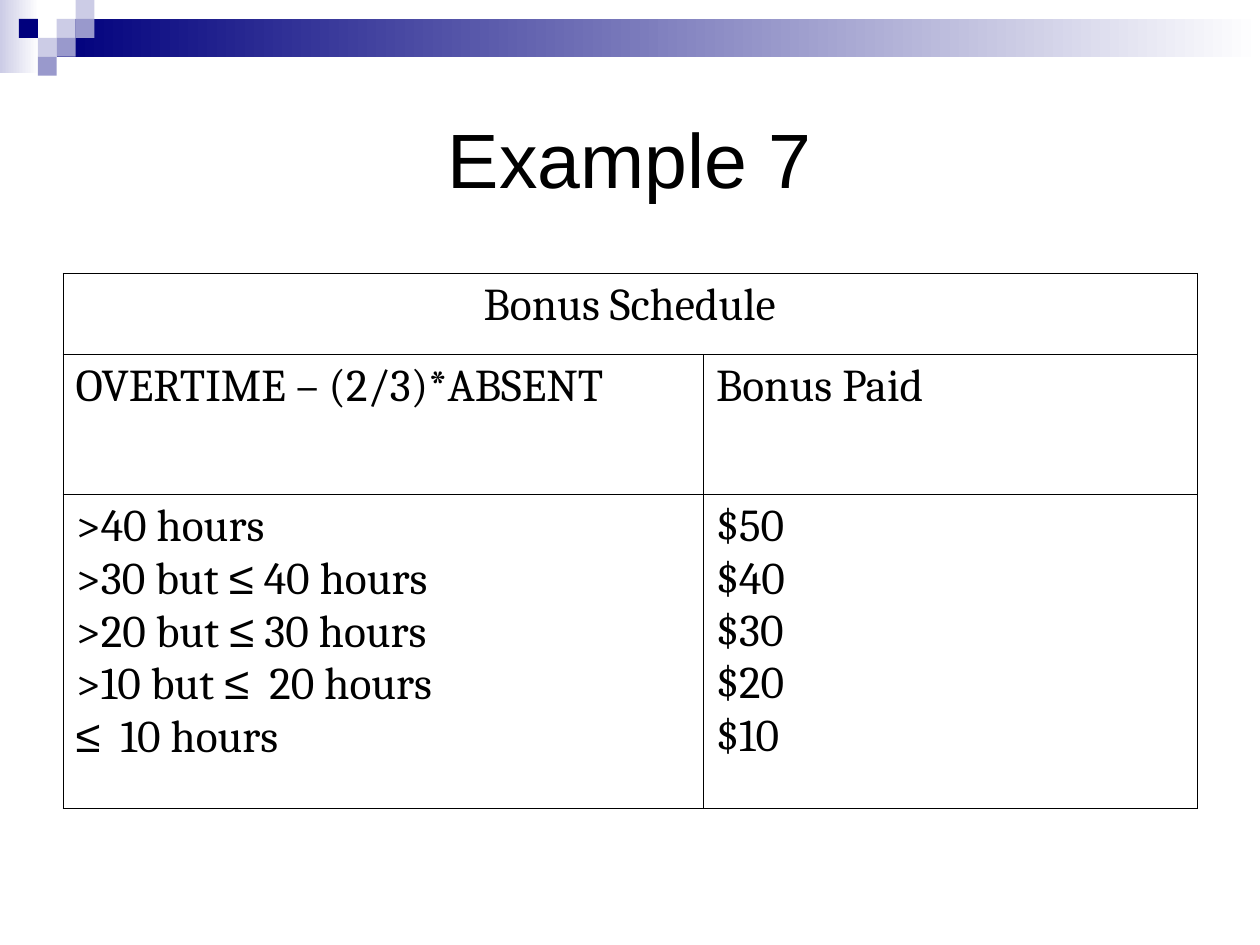
from lxml import etree
from pptx import Presentation
from pptx.dml.color import RGBColor
from pptx.enum.shapes import MSO_SHAPE as SHAPE
from pptx.enum.text import MSO_ANCHOR as ANCHOR, PP_ALIGN as ALIGN
from pptx.oxml.ns import qn
from pptx.util import Pt


def color(hex_code):
    return RGBColor.from_string(hex_code)


def add_block(left, top, width, height, start, end=None):
    block = slide.shapes.add_shape(SHAPE.RECTANGLE, Pt(left), Pt(top), Pt(width), Pt(height))
    block.shadow.inherit = False
    block.line.fill.background()
    if end:
        block.fill.gradient()
        block.fill.gradient_angle = 0
        for stop, hex_code in zip(block.fill.gradient_stops, (start, end)):
            stop.color.rgb = color(hex_code)
    else:
        block.fill.solid()
        block.fill.fore_color.rgb = color(start)


prs = Presentation()
prs.slide_width, prs.slide_height = Pt(720), Pt(540)
slide = prs.slides.add_slide(prs.slide_layouts[5])

# Header band and its mosaic of squares, set on a square grid
NAVY, LAVENDER, VIOLET = "00007D", "CCCCE6", "9999CC"
unit = 10.8
add_block(0, 0, 22.3, 41.8, LAVENDER, "FFFFFF")
add_block(3 * unit, unit, 720 - 3 * unit, 2 * unit, NAVY, "FFFFFF")
mosaic = [(3, 1, LAVENDER), (4, 0, LAVENDER), (4, 1, VIOLET), (2, 2, LAVENDER),
          (1, 1, NAVY), (3, 2, VIOLET), (2, 3, VIOLET)]
for column, row, hex_code in mosaic:
    add_block(column * unit, row * unit, unit, unit, hex_code)

# Title
title = slide.shapes.title
title.left, title.top, title.width, title.height = Pt(36), Pt(36), Pt(648), Pt(108)
title.text_frame.text = "Example 7"
title.text_frame.vertical_anchor = ANCHOR.MIDDLE
heading = title.text_frame.paragraphs[0]
heading.alignment = ALIGN.CENTER
heading.runs[0].font.size = Pt(44)
heading.runs[0].font.name = "Arial"
heading.runs[0].font.color.rgb = color("000000")

# Bonus table: each cell is a list of lines
bonus_rows = [
    [["Bonus Schedule"], []],
    [["OVERTIME – (2/3)*ABSENT"], ["Bonus Paid"]],
    [[">40 hours", ">30 but ≤ 40 hours", ">20 but ≤ 30 hours",
      ">10 but ≤  20 hours", "≤  10 hours"],
     ["$50", "$40", "$30", "$20", "$10"]],
]
schedule = slide.shapes.add_table(3, 2, Pt(36), Pt(156.2), Pt(648), Pt(306)).table
schedule.first_row = schedule.horz_banding = False
for column, width in zip(schedule.columns, (366, 282)):
    column.width = Pt(width)
for row, height in zip(schedule.rows, (46.5, 80, 179.5)):
    row.height = Pt(height)
schedule.cell(0, 0).merge(schedule.cell(0, 1))

for r, bonus_row in enumerate(bonus_rows):
    for c, lines in enumerate(bonus_row):
        cell = schedule.cell(r, c)
        # Thin black borders, no fill
        properties = cell._tc.get_or_add_tcPr()
        for side in ("a:lnL", "a:lnR", "a:lnT", "a:lnB"):
            border = etree.SubElement(properties, qn(side), w=str(Pt(0.45)))
            fill = etree.SubElement(border, qn("a:solidFill"))
            etree.SubElement(fill, qn("a:srgbClr"), val="000000")
        cell.fill.background()
        cell.margin_left = cell.margin_right = Pt(7.2)
        cell.margin_top = cell.margin_bottom = Pt(3.6)

        # Lines, with the ≤ sign in its own font
        for i, line in enumerate(lines):
            frame = cell.text_frame
            paragraph = frame.add_paragraph() if i else frame.paragraphs[0]
            paragraph.alignment = ALIGN.LEFT if r else ALIGN.CENTER
            indents = paragraph._p.get_or_add_pPr()
            indents.set("marL", str(Pt(27)))
            indents.set("indent", str(Pt(-27)))
            before, sign, after = line.partition("≤")
            for part in filter(None, (before, sign, after)):
                run = paragraph.add_run()
                run.text = part
                run.font.size = Pt(26)
                run.font.name = "Arial" if part == "≤" else "Cambria"
                run.font.color.rgb = color("000000")

prs.save("out.pptx")
